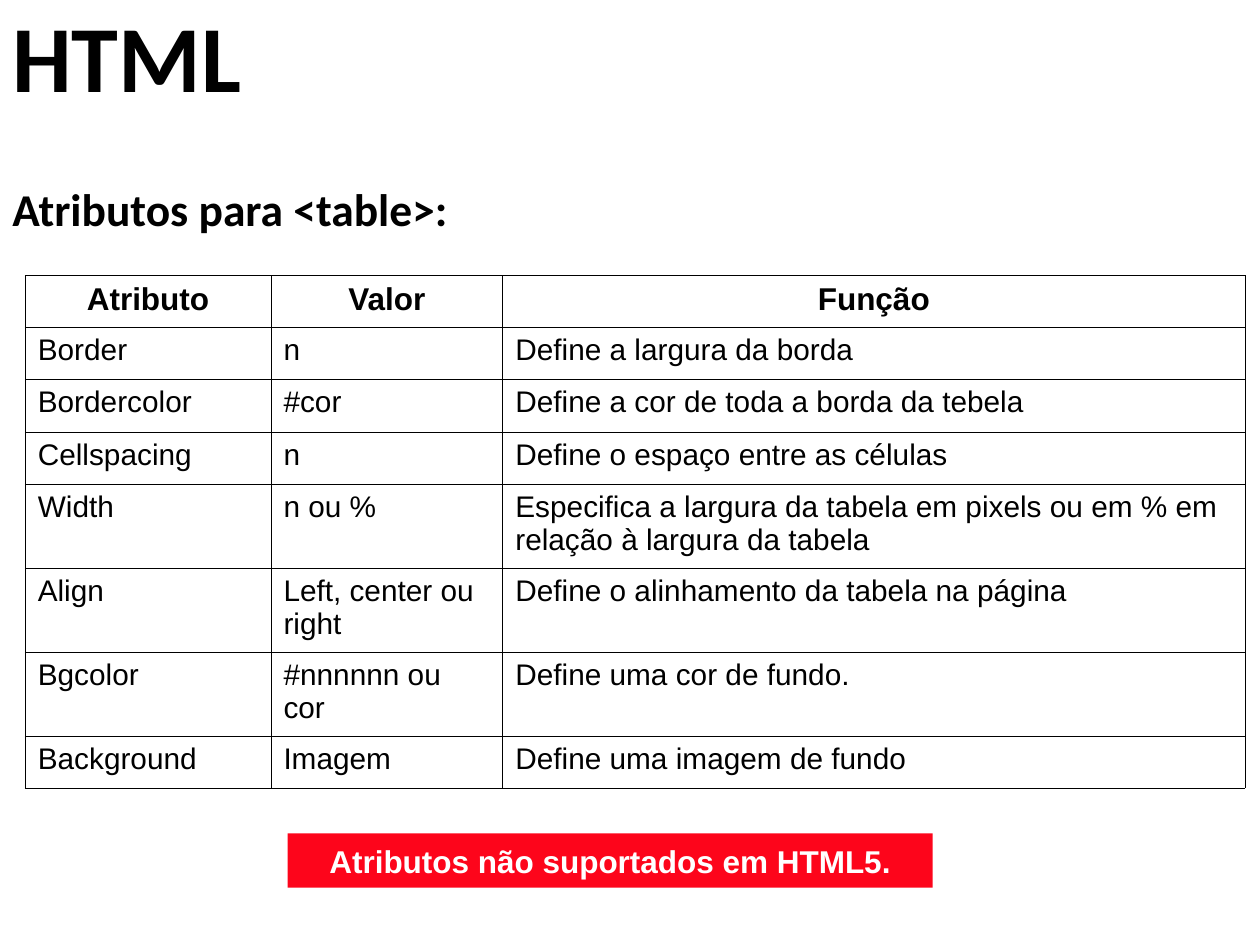
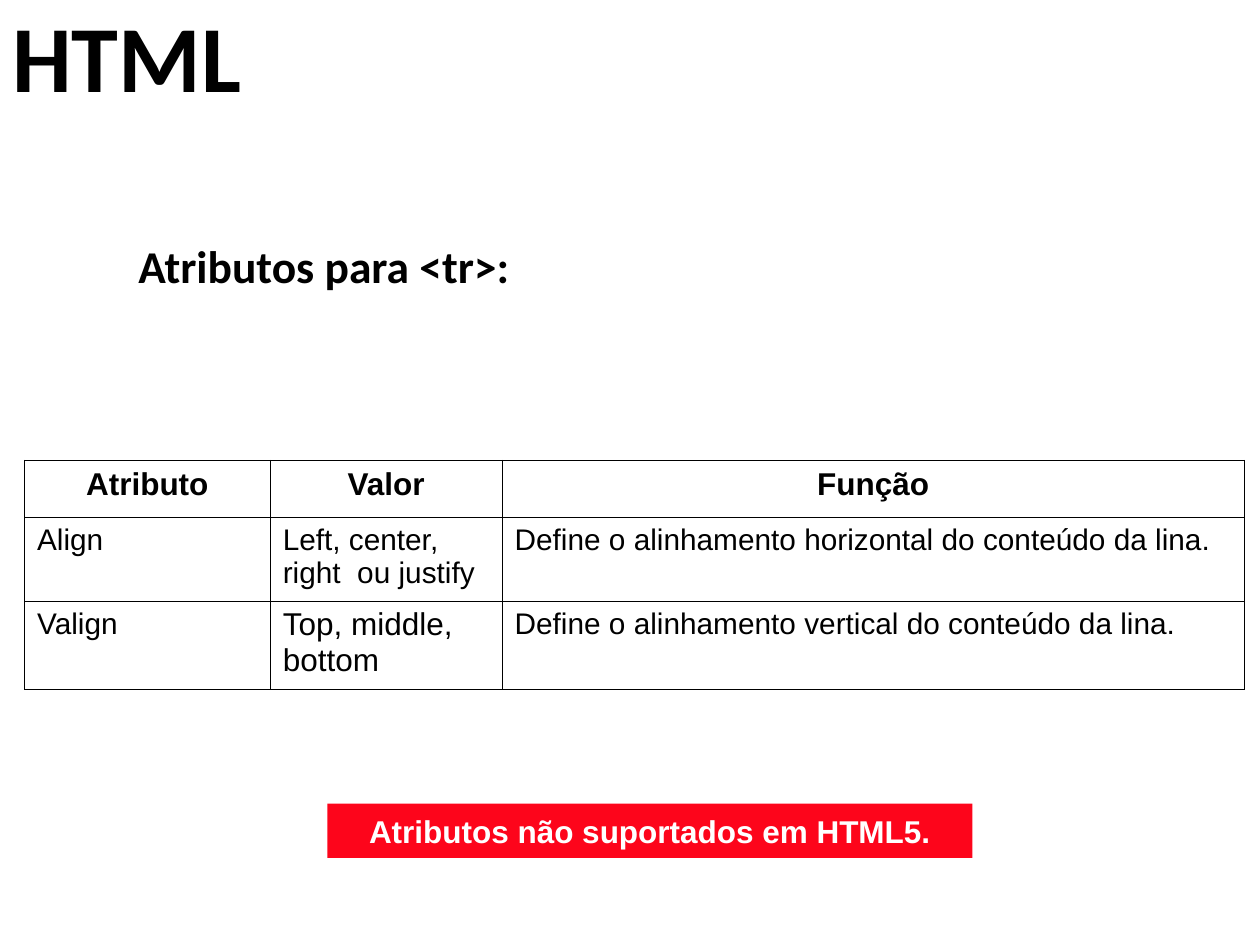
from pptx import Presentation
from pptx.dml.color import RGBColor
from pptx.enum.shapes import MSO_SHAPE
from pptx.enum.text import MSO_ANCHOR, PP_ALIGN
from pptx.oxml.ns import qn
from pptx.util import Pt
from lxml.etree import SubElement

BLACK = RGBColor(0x00, 0x00, 0x00)
WHITE = RGBColor(0xFF, 0xFF, 0xFF)
RED = RGBColor(0xFD, 0x05, 0x1B)

HEADING_FONT = "Calibri"
TABLE_FONT = "Arial"
HEADER_SIZE = 18
CELL_SIZE = 17
BORDER_WIDTH = 0.45

COLUMN_WIDTHS = (140.4, 132.5, 424.1)
HEADERS = ("Atributo", "Valor", "Função")
WARNING = "Atributos não suportados em HTML5."

TABLE_ROWS = [
    ("Border", "n", "Define a largura da borda"),
    ("Bordercolor", "#cor", "Define a cor de toda a borda da tebela"),
    ("Cellspacing", "n", "Define o espaço entre as células"),
    ("Width", "n ou %",
     "Especifica a largura da tabela em pixels ou em % em relação à largura da tabela"),
    ("Align", "Left, center ou right", "Define o alinhamento da tabela na página"),
    ("Bgcolor", "#nnnnnn ou cor", "Define uma cor de fundo."),
    ("Background", "Imagem", "Define uma imagem de fundo"),
]
TABLE_HEIGHTS = (29.7, 29.7, 30, 29.7, 48, 48, 48, 29.7)

TR_ROWS = [
    ("Align", "Left, center, right  ou justify",
     "Define o alinhamento horizontal do conteúdo da lina."),
    ("Valign", "Top, middle, bottom",
     "Define o alinhamento vertical do conteúdo da lina."),
]
TR_HEIGHTS = (32.4, 48, 50.4)


def style_text(p, font, size, color=BLACK, bold=False):
    for r in p.runs:
        r.font.name = font
        r.font.size = Pt(size)
        r.font.bold = bold
        r.font.color.rgb = color


def add_heading(s, text, box, size, anchor):
    tf = s.shapes.add_textbox(*map(Pt, box)).text_frame
    tf.word_wrap = True
    tf.vertical_anchor = anchor
    tf.text = text
    p = tf.paragraphs[0]
    p.line_spacing = 0.9
    style_text(p, HEADING_FONT, size, bold=True)


def add_borders(cell):
    tc_pr = cell._tc.get_or_add_tcPr()
    for side in ("lnL", "lnR", "lnT", "lnB"):
        ln = SubElement(tc_pr, qn(f"a:{side}"), w=str(Pt(BORDER_WIDTH)))
        fill = SubElement(ln, qn("a:solidFill"))
        SubElement(fill, qn("a:srgbClr"), val=str(BLACK))


def add_attribute_table(s, left, top, rows, heights):
    frame = s.shapes.add_table(len(heights), len(COLUMN_WIDTHS), Pt(left), Pt(top),
                               Pt(sum(COLUMN_WIDTHS)), Pt(sum(heights)))
    table = frame.table
    table.horz_banding = False
    for column, width in zip(table.columns, COLUMN_WIDTHS):
        column.width = Pt(width)
    for row, height in zip(table.rows, heights):
        row.height = Pt(height)
    for i, texts in enumerate([HEADERS, *rows]):
        is_header = i == 0
        for j, text in enumerate(texts):
            cell = table.cell(i, j)
            add_borders(cell)
            cell.fill.background()
            cell.text_frame.text = text
            p = cell.text_frame.paragraphs[0]
            p.alignment = PP_ALIGN.CENTER if is_header else PP_ALIGN.LEFT
            style_text(p, TABLE_FONT, HEADER_SIZE if is_header else CELL_SIZE,
                       bold=is_header)
    return table


def add_warning(s, left, top):
    sp = s.shapes.add_shape(MSO_SHAPE.RECTANGLE, Pt(left), Pt(top), Pt(368.6), Pt(31))
    sp.shadow.inherit = False
    sp.fill.solid()
    sp.fill.fore_color.rgb = RED
    sp.line.fill.background()
    tf = sp.text_frame
    tf.word_wrap = False
    tf.vertical_anchor = MSO_ANCHOR.MIDDLE
    tf.text = WARNING
    p = tf.paragraphs[0]
    p.alignment = PP_ALIGN.CENTER
    style_text(p, TABLE_FONT, 18, WHITE, bold=True)


def add_attribute_slide(prs, tag, heading_at, table_at, warning_at, rows, heights):
    s = prs.slides.add_slide(prs.slide_layouts[6])
    add_heading(s, "HTML", (0, -9.4, 648, 90), 54, MSO_ANCHOR.MIDDLE)
    add_heading(s, f"Atributos para {tag}:", (*heading_at, 648, 273.6), 26, MSO_ANCHOR.TOP)
    table = add_attribute_table(s, *table_at, rows, heights)
    add_warning(s, *warning_at)
    return table


def main():
    prs = Presentation()
    prs.slide_width, prs.slide_height = Pt(720), Pt(540)
    add_attribute_slide(prs, "<table>", (0, 103.7), (14.4, 157.5), (164.4, 476.2),
                        TABLE_ROWS, TABLE_HEIGHTS)
    tr_table = add_attribute_slide(prs, "<tr>", (72, 136.1), (14, 263), (187.1, 459.2),
                                   TR_ROWS, TR_HEIGHTS)
    valign_values = tr_table.cell(2, 1).text_frame.paragraphs[0]
    style_text(valign_values, TABLE_FONT, HEADER_SIZE)
    prs.save("out.pptx")


if __name__ == "__main__":
    main()
